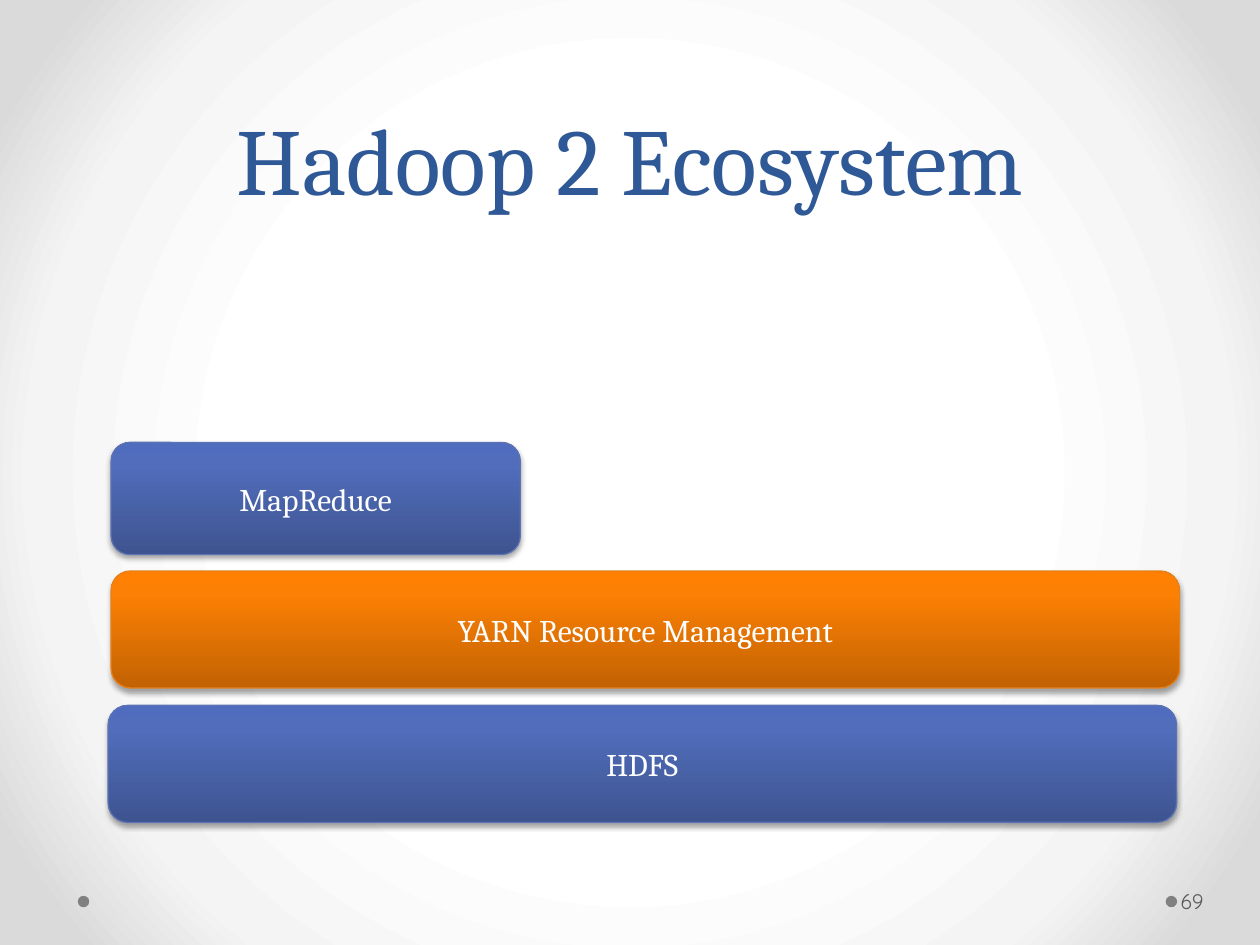
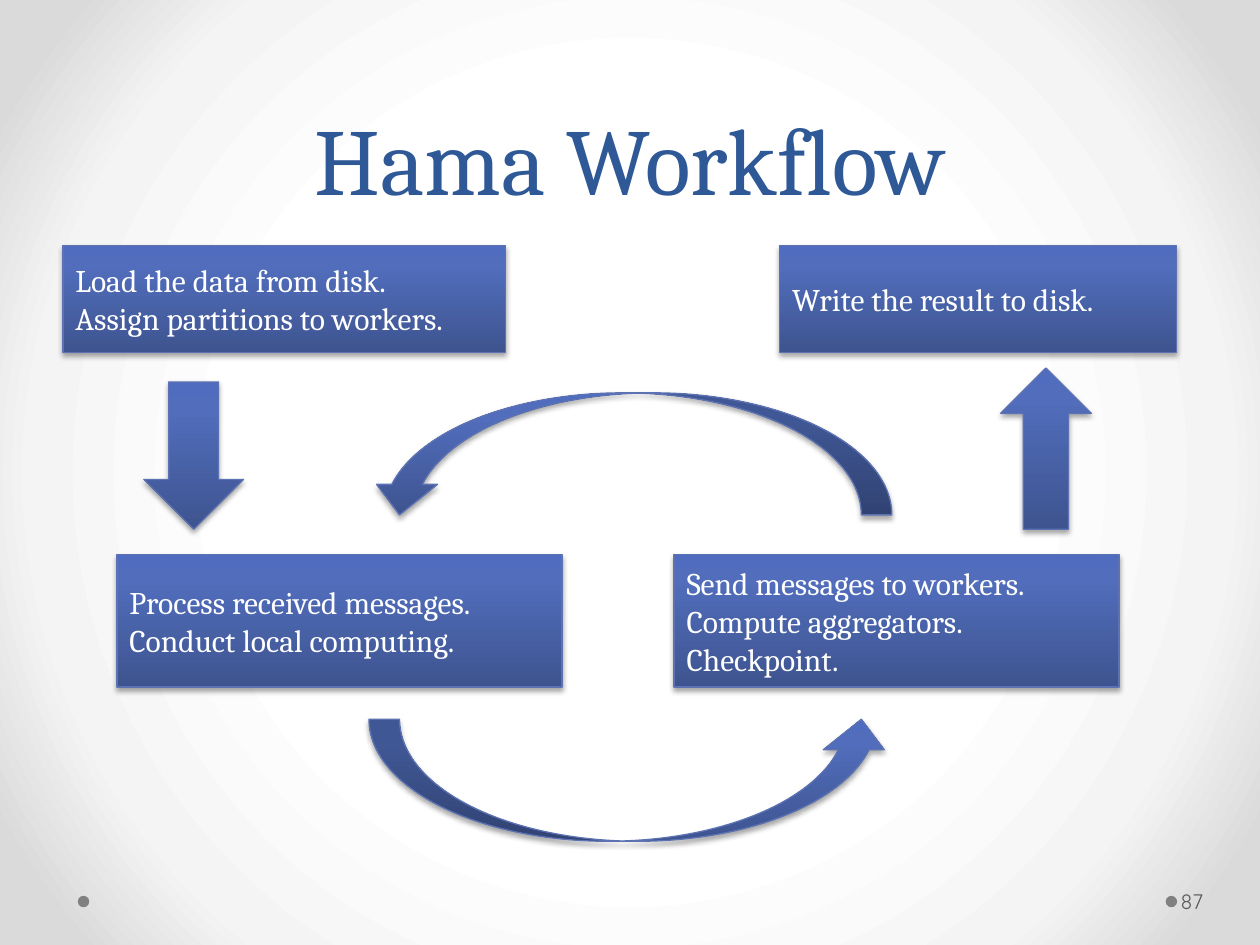
"""Build two slides on the Hadoop 2 ecosystem and the Hama workflow."""
from lxml import etree
from pptx import Presentation
from pptx import util as u
from pptx.dml import color
from pptx.enum import shapes, text
from pptx.oxml import ns

BLUE = ([(0, "3E5490"), (80, "516DBB"), (100, "4F6CBE")], "5C72B2")
ORANGE = ([(0, "C26203"), (80, "FB8004"), (100, "FF8002")], "E6811C")
BACKDROP = [(50, "FFFFFF"), (76, "F4F4F4"), (92, "DADADA")]
UPWARD = '<a:lin ang="16200000" scaled="0"/>'
RADIAL = '<a:path path="circle"><a:fillToRect l="50000" t="50000" r="50000" b="50000"/></a:path>'
SHADOW = (
    f'<a:effectLst {ns.nsdecls("a")}><a:outerShdw blurRad="40000" dist="23000" dir="5400000" '
    'rotWithShape="0"><a:srgbClr val="000000"><a:alpha val="35000"/></a:srgbClr>'
    '</a:outerShdw></a:effectLst>'
)
KINDS = shapes.MSO_SHAPE
ALIGN = text.PP_ALIGN
hue = color.RGBColor.from_string


def gradient(stops, direction):
    """Return a gradient fill element."""
    marks = "".join(
        f'<a:gs pos="{place * 1000}"><a:srgbClr val="{tone}"/></a:gs>' for place, tone in stops
    )
    return etree.fromstring(
        f'<a:gradFill {ns.nsdecls("a")} rotWithShape="1"><a:gsLst>{marks}</a:gsLst>{direction}</a:gradFill>'
    )


def add_block(page, kind, place, lines=(), align=ALIGN.CENTER, paint=BLUE):
    """Add a shaded shape with a soft shadow and optional lines of text."""
    stops, edge = paint
    block = page.shapes.add_shape(kind, *map(u.Cm, place))
    block.line.color.rgb = hue(edge)
    block.line.width = u.Pt(0.75)
    props = block.element.spPr
    props.find(ns.qn("a:prstGeom")).addnext(gradient(stops, UPWARD))
    props.append(etree.fromstring(SHADOW))
    if lines:
        block.text_frame.text = "\n".join(lines)
        block.text_frame.vertical_anchor = text.MSO_ANCHOR.MIDDLE
        for para in block.text_frame.paragraphs:
            para.alignment = align
            para.font.name = "Cambria"
            para.font.size = u.Pt(18)
            para.font.color.rgb = hue("FFFFFF")
    return block


deck = Presentation()
deck.slide_width, deck.slide_height = u.Cm(25.4), u.Cm(19.05)

master = deck.slide_master
master.background.fill.solid()
backdrop = master.element.find(".//" + ns.qn("p:bgPr"))
backdrop.replace(backdrop[0], gradient(BACKDROP, RADIAL))

pages = []
for heading, number in (("Hadoop 2 Ecosystem", "69"), ("Hama Workflow", "87")):
    page = deck.slides.add_slide(deck.slide_layouts[6])
    pages.append(page)

    for left in (23.5, 1.57):
        dot = page.shapes.add_shape(KINDS.OVAL, u.Cm(left), u.Cm(18.06), u.Cm(0.23), u.Cm(0.23))
        dot.shadow.inherit = False
        dot.fill.solid()
        dot.fill.fore_color.rgb = hue("808080")
        dot.line.fill.background()

    title = page.shapes.add_textbox(u.Cm(1.27), u.Cm(0), u.Cm(22.86), u.Cm(4.45))
    title.text_frame.word_wrap = True
    title.text_frame.vertical_anchor = text.MSO_ANCHOR.BOTTOM
    para = title.text_frame.paragraphs[0]
    para.text = heading
    para.alignment = ALIGN.CENTER
    para.line_spacing = u.Pt(58)
    para.font.name = "Cambria"
    para.font.size = u.Pt(54)
    para.font.color.rgb = hue("2F5897")

    footer = page.shapes.add_textbox(u.Cm(23.72), u.Cm(17.65), u.Cm(1.55), u.Cm(1.02))
    footer.text_frame.word_wrap = True
    footer.text_frame.margin_left = u.Cm(0.08)
    footer.text_frame.margin_right = u.Cm(0.13)
    footer.text_frame.vertical_anchor = text.MSO_ANCHOR.MIDDLE
    para = footer.text_frame.paragraphs[0]
    para.text = number
    para.font.name = "Quicksand"
    para.font.size = u.Pt(12)
    para.font.color.rgb = hue("595959")

ecosystem, workflow = pages

for layer, place, paint in (
    ("HDFS", (2.18, 14.22, 21.54, 2.36), BLUE),
    ("YARN Resource Management", (2.24, 11.51, 21.54, 2.36), ORANGE),
    ("MapReduce", (2.24, 8.92, 8.25, 2.26), BLUE),
):
    add_block(ecosystem, KINDS.ROUNDED_RECTANGLE, place, [layer], paint=paint)

for place, lines in (
    ((1.27, 4.95, 8.92, 2.16), ["Load the data from disk.", "Assign partitions to workers."]),
    ((2.36, 11.18, 8.97, 2.67), ["Process received messages.", "Conduct local computing."]),
    ((13.59, 11.18, 8.97, 2.67), ["Send messages to workers.", "Compute aggregators.", "Checkpoint."]),
    ((15.72, 4.95, 8, 2.16), ["Write the result to disk."]),
):
    add_block(workflow, KINDS.RECTANGLE, place, lines, ALIGN.JUSTIFY)

add_block(workflow, KINDS.DOWN_ARROW, (2.9, 7.7, 2.01, 2.97))
add_block(workflow, KINDS.UP_ARROW, (20.17, 7.42, 1.83, 3.25))
add_block(workflow, KINDS.CURVED_UP_ARROW, (7.44, 14.5, 10.54, 2.46))
return_arrow = add_block(workflow, KINDS.CURVED_DOWN_ARROW, (7.44, 7.92, 10.54, 2.46))
return_arrow.element.spPr.xfrm.set("flipH", "1")

deck.save("out.pptx")
